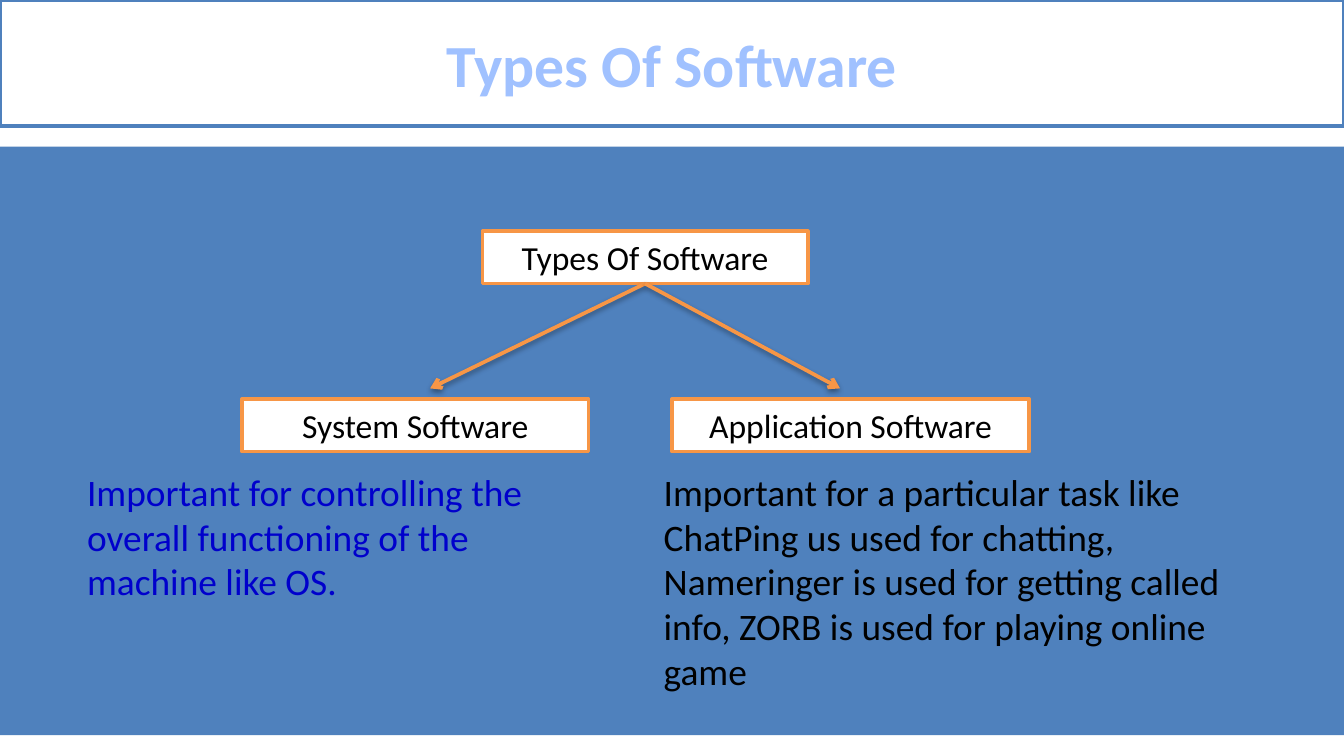
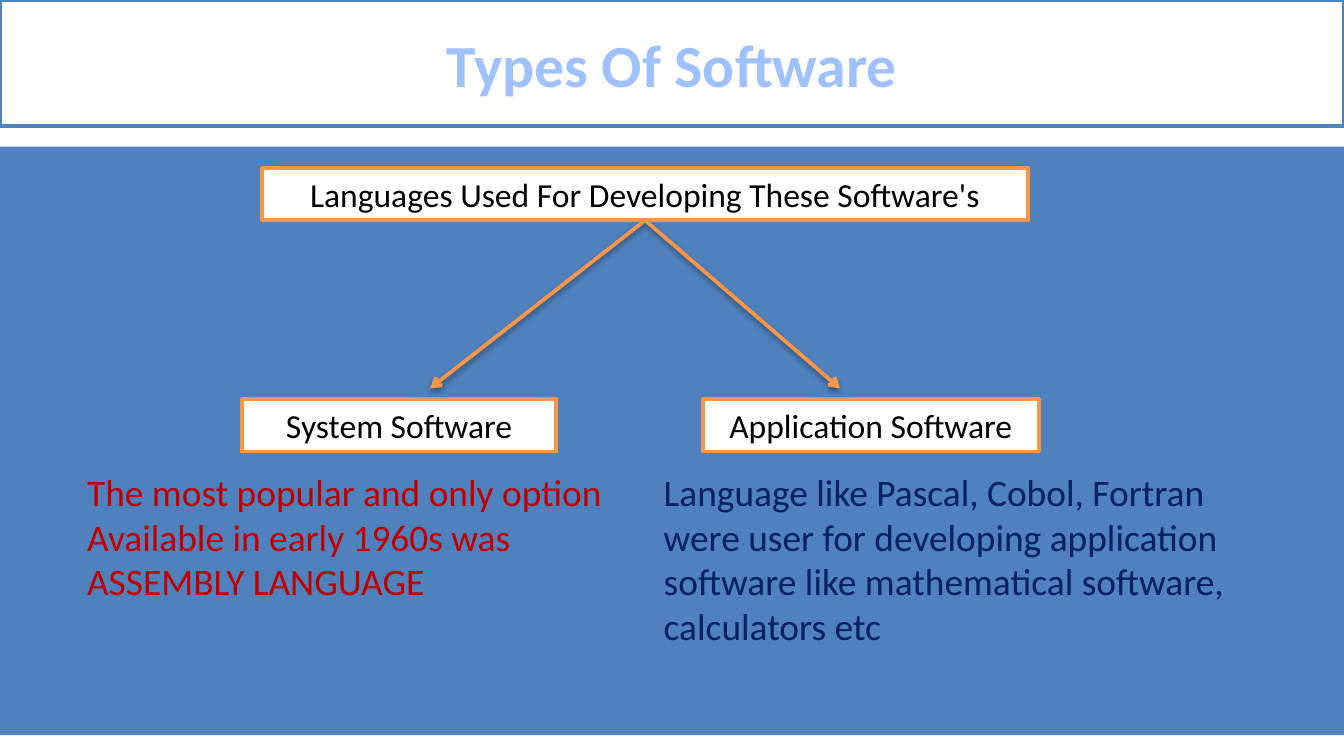
import pptx
import pptx.util
import pptx.oxml
import pptx.dml.color
import pptx.enum.shapes
import pptx.enum.text

Inches = pptx.util.Inches
Pt = pptx.util.Pt
NS = 'xmlns:a="http://schemas.openxmlformats.org/drawingml/2006/main"'
BLUE, ORANGE, WHITE, BLACK = "4F81BD", "F79646", "FFFFFF", "000000"
CENTER = pptx.enum.text.PP_ALIGN.CENTER
MIDDLE = pptx.enum.text.MSO_ANCHOR.MIDDLE
RECT = pptx.enum.shapes.MSO_SHAPE.RECTANGLE
STRAIGHT = pptx.enum.shapes.MSO_CONNECTOR.STRAIGHT

STOPS = [(0, "BFD3F9"), (9, "A0C1FF"), (50, "003D85"), (79, "A0C1FF"), (100, "BFD3F9")]
GRAD = f'<a:gradFill {NS}><a:gsLst>' + "".join(
    f'<a:gs pos="{pos * 1000}"><a:srgbClr val="{tone}"/></a:gs>' for pos, tone in STOPS
) + '</a:gsLst><a:lin ang="5400000" scaled="0"/></a:gradFill>'
EDGE = (f'<a:ln {NS} w="10541"><a:solidFill><a:srgbClr val="467AB8"/>'
        '</a:solidFill><a:prstDash val="solid"/></a:ln>')
ARROW = f'<a:tailEnd {NS} type="arrow"/>'
SHADOW = (f'<a:effectLst {NS}><a:outerShdw blurRad="39370" dist="20320" dir="5400000" '
          'rotWithShape="0"><a:srgbClr val="000000"><a:alpha val="38000"/>'
          '</a:srgbClr></a:outerShdw></a:effectLst>')

SLIDES = [
    {
        "root": ("Types Of Software", 3.59, 1.72, 2.42),
        "kids": [("System Software", 1.8, 2.58), ("Application Software", 5, 2.66)],
        "notes": [
            (0.55, 4.06, 1.11, "0000CC",
             ["Important for controlling the overall functioning of the machine like OS."]),
            (4.84, 4.53, 1.78, BLACK,
             ["Important for a particular task like",
              "ChatPing us used for chatting,",
              "Nameringer is used for getting called info, ZORB is used for playing online",
              "game"]),
        ],
    },
    {
        "root": ("Languages Used For Developing These Software's", 1.95, 1.25, 5.7),
        "kids": [("System Software", 1.8, 2.34), ("Application Software", 5.23, 2.5)],
        "notes": [
            (0.55, 4.06, 1.11, "C00000",
             ["The most popular and only option",
              "Available in early 1960s was",
              "ASSEMBLY LANGUAGE"]),
            (4.84, 4.45, 1.78, "002060",
             ["Language like Pascal, Cobol, Fortran were user for developing application "
              "software like mathematical software, calculators etc"]),
        ],
    },
]


def paint(form, color):
    form.solid()
    form.fore_color.rgb = pptx.dml.color.RGBColor.from_string(color)


def write(par, text, size, color):
    run = par.add_run()
    run.text = text
    run.font.name = "Calibri"
    run.font.size = Pt(size)
    paint(run.font.fill, color)
    return run


deck = pptx.Presentation()
deck.slide_width = Inches(10)
deck.slide_height = deck.slide_width * 9 // 16

for data in SLIDES:
    slide = deck.slides.add_slide(deck.slide_layouts[5])
    shapes = slide.shapes

    title = shapes.title
    title.left, title.top = Inches(0), Inches(0)
    title.width, title.height = Inches(10), Inches(0.94)
    paint(title.fill, WHITE)
    paint(title.line.fill, BLUE)
    title.line.width = Pt(2)
    title.text_frame.vertical_anchor = MIDDLE
    par = title.text_frame.paragraphs[0]
    par.alignment = CENTER
    run = write(par, "Types Of Software", 32, "A0C1FF")
    run.font.bold = True
    props = run._r.get_or_add_rPr()
    props.replace(props[0], pptx.oxml.parse_xml(GRAD))
    props.insert(0, pptx.oxml.parse_xml(EDGE))

    band = shapes.add_shape(RECT, Inches(0), Inches(1.09), Inches(10), Inches(4.38))
    band.shadow.inherit = False
    paint(band.fill, BLUE)
    band.line.fill.background()

    boxes = []
    labels = [data["root"]] + [(text, x, 2.97, w) for text, x, w in data["kids"]]
    for text, x, y, w in labels:
        box = shapes.add_shape(RECT, Inches(x), Inches(y), Inches(w), Inches(0.39))
        box.shadow.inherit = False
        paint(box.fill, WHITE)
        paint(box.line.fill, ORANGE)
        box.line.width = Pt(2)
        box.text_frame.word_wrap = True
        box.text_frame.vertical_anchor = MIDDLE
        par = box.text_frame.paragraphs[0]
        par.alignment = CENTER
        write(par, text, 18, BLACK)
        boxes.append(box)

    for x in (3.2, 6.25):
        link = shapes.add_connector(STRAIGHT, Inches(4.8), Inches(2), Inches(x), Inches(2.89))
        link.begin_connect(boxes[0], 2)
        paint(link.line.fill, ORANGE)
        link.line.width = Pt(2)
        link.line._get_or_add_ln().append(pptx.oxml.parse_xml(ARROW))
        link._element.spPr.append(pptx.oxml.parse_xml(SHADOW))

    for x, w, h, color, lines in data["notes"]:
        note = shapes.add_textbox(Inches(x), Inches(3.44), Inches(w), Inches(h))
        frame = note.text_frame
        frame.word_wrap = True
        frame.auto_size = pptx.enum.text.MSO_AUTO_SIZE.SHAPE_TO_FIT_TEXT
        for i, text in enumerate(lines):
            par = frame.add_paragraph() if i else frame.paragraphs[0]
            write(par, text, 20, color)

deck.save("out.pptx")
